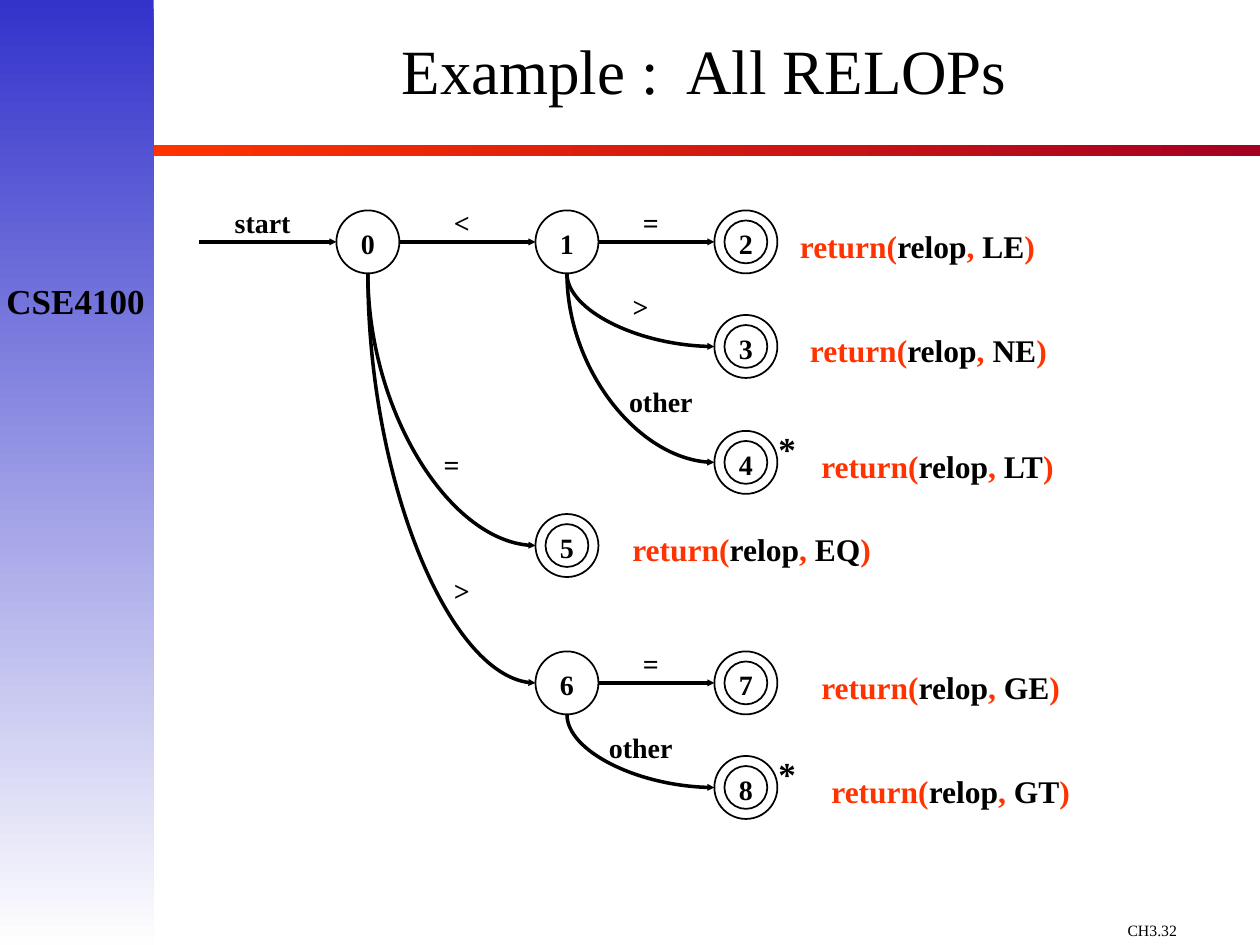
"""Build the transition diagram slide for all relational operators."""
from lxml import etree
from pptx import Presentation
from pptx.dml.color import RGBColor
from pptx.enum import shapes, text
from pptx.oxml import ns
from pptx.util import Inches, Pt

FONT = "Times New Roman"
COLORS = {"ink": "000000", "red": "FF3300", "dark_red": "A50021",
          "blue": "3333CC", "pale": "FEFEFE"}
LEFT, CENTER = text.PP_ALIGN.LEFT, text.PP_ALIGN.CENTER
START_X, MIDDLE_X, FINAL_X = 2.92, 4.5, 5.92
RADIUS, INNER_RADIUS = 0.25, 0.17

prs = Presentation()
prs.slide_width, prs.slide_height = Inches(10), Inches(7.5)
s = prs.slides.add_slide(prs.slide_layouts[6])


def add_text(x, y, w, h, runs, size=16, bold=True, align=CENTER, wrap=True):
    """Add a text box made of (text, colour name) runs."""
    tf = s.shapes.add_textbox(Inches(x), Inches(y), Inches(w), Inches(h)).text_frame
    tf.word_wrap = wrap
    p = tf.paragraphs[0]
    p.alignment = align
    for wording, color in runs:
        r = p.add_run()
        r.text = wording
        r.font.name, r.font.size, r.font.bold = FONT, Pt(size), bold
        r.font.color.rgb = RGBColor.from_string(COLORS[color])
    return tf


def add_arrow(x1, y1, x2, y2):
    """Add an arrow, curved from downward to rightward when the heights differ."""
    if y1 == y2:
        c = s.shapes.add_connector(shapes.MSO_CONNECTOR.STRAIGHT,
                                   Inches(x1), Inches(y1), Inches(x2), Inches(y2))
    else:
        cx, cy = (x1 + x2) / 2, (y1 + y2) / 2
        half_w, half_h = (y2 - y1) / 2, (x2 - x1) / 2
        c = s.shapes.add_connector(shapes.MSO_CONNECTOR.CURVE,
                                   Inches(cx - half_w), Inches(cy - half_h),
                                   Inches(cx + half_w), Inches(cy + half_h))
        sp_pr = c._element.spPr
        sp_pr.find(ns.qn("a:prstGeom")).set("prst", "curvedConnector2")
        xfrm = sp_pr.find(ns.qn("a:xfrm"))
        xfrm.set("rot", "16200000")
        xfrm.set("flipH", "1")
    c.line.width = Pt(2)
    c.line.color.rgb = RGBColor.from_string(COLORS["ink"])
    etree.SubElement(c.line._get_or_add_ln(), ns.qn("a:tailEnd"),
                     type="triangle", w="sm", len="sm")
    etree.SubElement(c._element.spPr, ns.qn("a:effectLst"))


bands = [
    (1.22, 1.15, 8.78, 0.09, "red", "dark_red", 0),
    (0, 0, 1.22, 7.5, "blue", "pale", 270),
]
for x, y, w, h, first, last, angle in bands:
    sp = s.shapes.add_shape(shapes.MSO_SHAPE.RECTANGLE,
                            Inches(x), Inches(y), Inches(w), Inches(h))
    sp.shadow.inherit = False
    sp.line.fill.background()
    sp.fill.gradient()
    sp.fill.gradient_angle = angle
    for stop, color in zip(sp.fill.gradient_stops, (first, last)):
        stop.color.rgb = RGBColor.from_string(COLORS[color])

add_text(8.85, 7.26, 1.15, 0.24, [("CH3.32", "ink")], 9, False, LEFT)
add_text(-0.05, 2.17, 1.3, 0.44, [("CSE4100", "ink")], 20, wrap=False)
title = add_text(1.18, 0, 8.82, 1.22, [("Example :  All RELOPs", "ink")], 36, False)
title.vertical_anchor = text.MSO_ANCHOR.MIDDLE
title.paragraphs[0].line_spacing = 0.8

states = [
    (START_X, 1.92), (MIDDLE_X, 1.92), (FINAL_X, 1.92), (FINAL_X, 2.75),
    (FINAL_X, 3.67), (MIDDLE_X, 4.33), (MIDDLE_X, 5.42), (FINAL_X, 5.42),
    (FINAL_X, 6.25),
]
returns = {2: ("LE", 6.25), 3: ("NE", 6.33), 4: ("LT", 6.42), 5: ("EQ", 4.92),
           7: ("GE", 6.42), 8: ("GT", 6.5)}
retracting = (4, 8)
edges = [
    (0, 1, "<", 3.25, 1.58), (0, 5, "=", 3.17, 3.5), (0, 6, ">", 3.25, 4.5),
    (1, 2, "=", 4.75, 1.58), (1, 3, ">", 4.67, 2.25), (1, 4, "other", 4.83, 3),
    (6, 7, "=", 4.75, 5.08), (6, 8, "other", 4.67, 5.75),
]

for number, (x, y) in enumerate(states):
    for radius in (RADIUS, INNER_RADIUS) if number in returns else (RADIUS,):
        sp = s.shapes.add_shape(shapes.MSO_SHAPE.OVAL,
                                Inches(x - radius), Inches(y - radius),
                                Inches(2 * radius), Inches(2 * radius))
        sp.shadow.inherit = False
        sp.fill.background()
        sp.line.width = Pt(1)
        sp.line.color.rgb = RGBColor.from_string(COLORS["ink"])
    add_text(x - 0.17, y - 0.17, 0.34, 0.37, [(str(number), "ink")])
    if number in returns:
        token, left = returns[number]
        add_text(left, y - 0.17, 2.92, 0.4,
                 [("return(", "red"), ("relop", "ink"), (", ", "red"),
                  (token, "ink"), (")", "red")], 18, align=LEFT)
    if number in retracting:
        add_text(x + 0.16, y - 0.33, 0.33, 0.44, [("*", "ink")], 20)

add_arrow(1.58, 1.92, START_X - RADIUS, 1.92)
add_text(1.67, 1.58, 0.83, 0.37, [("start", "ink")])
for source, target, label, left, top in edges:
    (x1, y1), (x2, y2) = states[source], states[target]
    if y1 == y2:
        add_arrow(x1 + RADIUS, y1, x2 - RADIUS, y2)
    else:
        add_arrow(x1, y1 + RADIUS, x2 - RADIUS, y2)
    add_text(left, top, 0.83, 0.37, [(label, "ink")])

prs.save("out.pptx")
